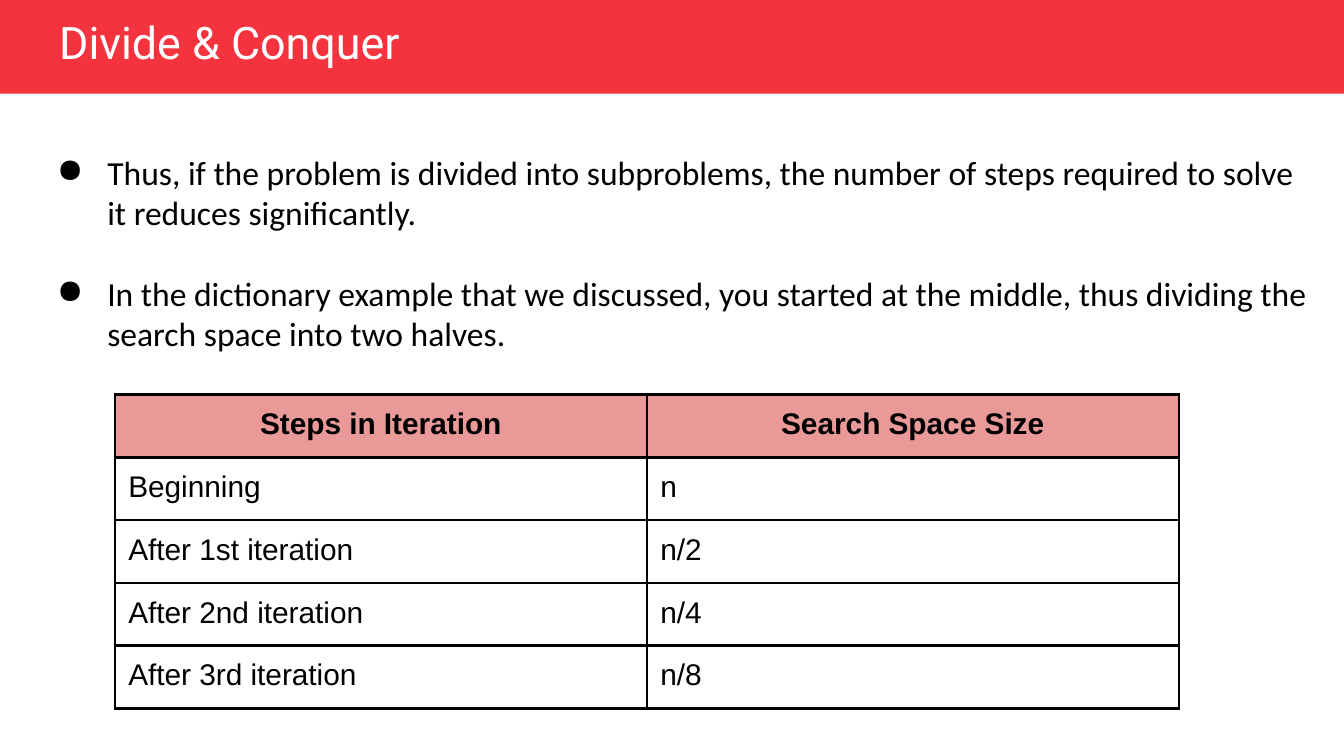
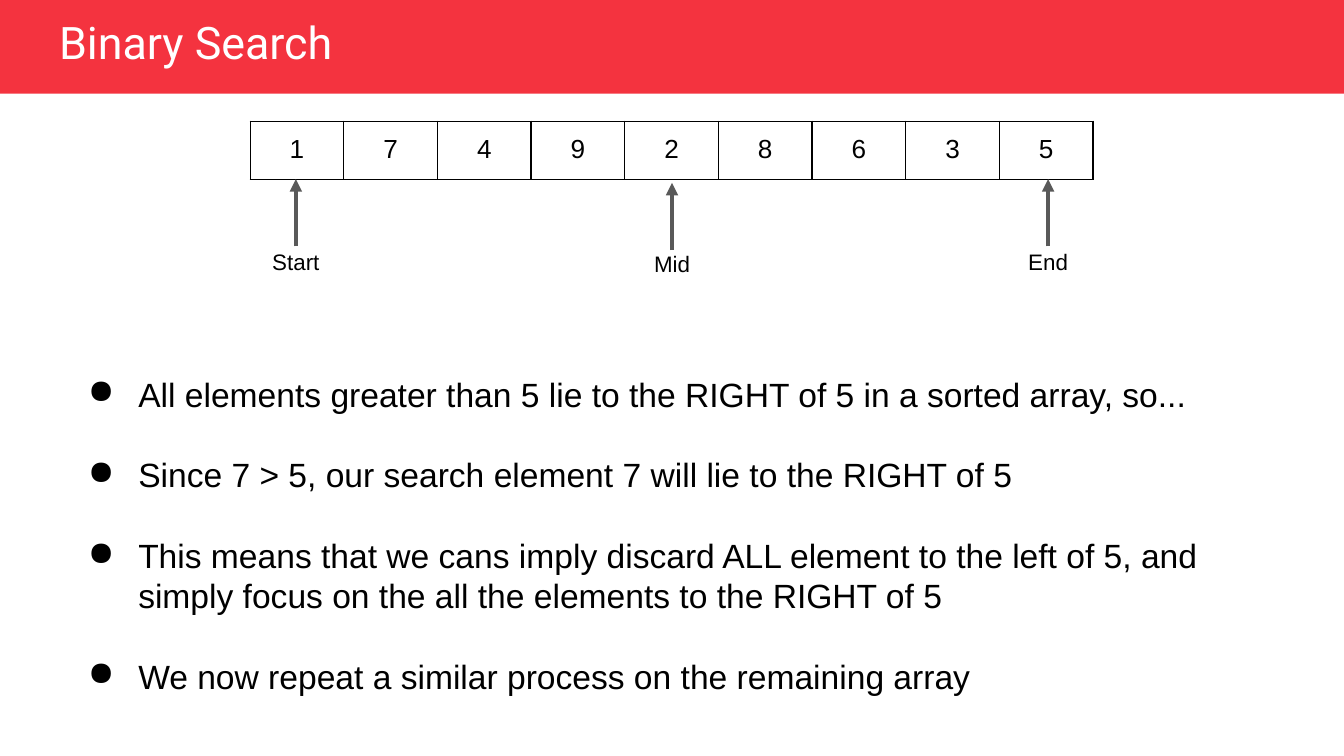
"""Two lecture slides on divide and conquer and binary search."""
import dataclasses

import lxml.etree
import pptx
import pptx.dml.color
import pptx.enum.shapes
import pptx.enum.text
import pptx.oxml
import pptx.oxml.ns
import pptx.util

Pt = pptx.util.Pt
qn = pptx.oxml.ns.qn
ALIGN = pptx.enum.text.PP_ALIGN


@dataclasses.dataclass(frozen=True)
class Theme:
    band: str = "F4333F"
    header: str = "EA9999"
    arrow: str = "595959"
    ink: str = "000000"
    paper: str = "FFFFFF"
    title_font: str = "Roboto"
    font: str = "Arial"
    title_size: float = 24
    body_size: float = 18
    table_size: float = 16
    array_size: float = 14
    label_size: float = 12
    body_leading: float = 21.6
    inset: float = 7.2


THEME = Theme()


def rgb(value):
    return pptx.dml.color.RGBColor.from_string(value)


def style(p, size, color=THEME.ink, font=THEME.font, bold=False, align=ALIGN.LEFT):
    p.alignment = align
    for r in p.runs:
        r.font.size = Pt(size)
        r.font.name = font
        r.font.bold = bold
        r.font.color.rgb = rgb(color)


def add_text_frame(s, left, top, width, height, inset=THEME.inset):
    tf = s.shapes.add_textbox(Pt(left), Pt(top), Pt(width), Pt(height)).text_frame
    tf.word_wrap = True
    tf.margin_left = tf.margin_right = Pt(inset)
    tf.margin_top = tf.margin_bottom = Pt(inset)
    return tf


def add_titled_slide(prs, title):
    s = prs.slides.add_slide(prs.slide_layouts[6])
    sp = s.shapes.add_shape(
        pptx.enum.shapes.MSO_SHAPE.RECTANGLE, 0, 0, prs.slide_width, Pt(50.2))
    sp.shadow.inherit = False
    sp.fill.solid()
    sp.fill.fore_color.rgb = rgb(THEME.band)
    sp.line.fill.background()
    tf = add_text_frame(s, 31.7, 8, 546, 31, inset=0)
    tf.text = title
    style(tf.paragraphs[0], THEME.title_size, THEME.paper, THEME.title_font)
    return s


def add_bullets(s, left, top, width, height, items, font):
    tf = add_text_frame(s, left, top, width, height)
    for i, item in enumerate(items):
        p = tf.paragraphs[0] if i == 0 else tf.add_paragraph()
        p.text = item
        pPr = p._p.get_or_add_pPr()
        pPr.set("marL", str(Pt(36)))
        pPr.set("indent", str(-Pt(27)))
        color = lxml.etree.SubElement(pPr, qn("a:buClr"))
        lxml.etree.SubElement(color, qn("a:srgbClr"), val=THEME.ink)
        lxml.etree.SubElement(pPr, qn("a:buChar"), char="●")
        p.line_spacing = Pt(THEME.body_leading)
        if i:
            p.space_before = Pt(THEME.body_leading)
        style(p, THEME.body_size, font=font)


def add_cell_borders(cell, weight):
    tcPr = cell._tc.get_or_add_tcPr()
    for side in ("a:lnL", "a:lnR", "a:lnT", "a:lnB"):
        ln = lxml.etree.SubElement(tcPr, qn(side), w=str(Pt(weight)))
        fill = lxml.etree.SubElement(ln, qn("a:solidFill"))
        lxml.etree.SubElement(fill, qn("a:srgbClr"), val=THEME.ink)


def add_grid(s, left, top, col_width, row_height, rows, size, weight,
             header=False, align=ALIGN.LEFT):
    n_rows, n_cols = len(rows), len(rows[0])
    table = s.shapes.add_table(
        n_rows, n_cols, Pt(left), Pt(top),
        Pt(col_width * n_cols), Pt(row_height * n_rows)).table
    table.first_row = table.horz_banding = False
    for col in table.columns:
        col.width = Pt(col_width)
    for i, values in enumerate(rows):
        table.rows[i].height = Pt(row_height)
        is_header = header and i == 0
        for j, value in enumerate(values):
            cell = table.cell(i, j)
            cell.text = value
            cell.margin_left = cell.margin_right = Pt(THEME.inset)
            cell.margin_top = cell.margin_bottom = Pt(THEME.inset)
            add_cell_borders(cell, weight)
            if is_header:
                cell.fill.solid()
                cell.fill.fore_color.rgb = rgb(THEME.header)
            else:
                cell.fill.background()
            style(cell.text_frame.paragraphs[0], size, bold=is_header,
                  align=ALIGN.CENTER if is_header else align)


def add_pointer(s, x, tip, label_top, label):
    cxn = s.shapes.add_connector(
        pptx.enum.shapes.MSO_CONNECTOR.STRAIGHT, Pt(x), Pt(tip + 36), Pt(x), Pt(tip))
    cxn.line.color.rgb = rgb(THEME.arrow)
    cxn.line.width = Pt(2.25)
    lxml.etree.SubElement(cxn.line._get_or_add_ln(), qn("a:tailEnd"), type="triangle")
    lxml.etree.SubElement(cxn._element.spPr, qn("a:effectLst"))
    tf = add_text_frame(s, x - 27, label_top, 54, 36)
    tf.text = label
    style(tf.paragraphs[0], THEME.label_size, align=ALIGN.CENTER)


def add_divide_slide(prs):
    s = add_titled_slide(prs, "Divide & Conquer")
    add_bullets(s, 14.4, 74.2, 699, 129, [
        "Thus, if the problem is divided into subproblems, the number of steps "
        "required to solve it reduces significantly.",
        "In the dictionary example that we discussed, you started at the middle, "
        "thus dividing the search space into two halves.",
    ], "Calibri")
    rows = [("Steps in Iteration", "Search Space Size"),
            ("Beginning", "n"),
            ("After 1st iteration", "n/2"),
            ("After 2nd iteration", "n/4"),
            ("After 3rd iteration", "n/8")]
    add_grid(s, 61.5, 211.4, 285, 30.2, rows, THEME.table_size, 1.5, header=True)


def add_search_slide(prs):
    s = add_titled_slide(prs, "Binary Search")
    add_bullets(s, 31, 193, 670, 204.5, [
        "All elements greater than 5 lie to the RIGHT of 5 in a sorted array, so...",
        "Since 7 > 5, our search element 7 will lie to the RIGHT of 5",
        "This means that we cans imply discard ALL element to the left of 5, "
        "and simply focus on the all the elements to the RIGHT of 5",
        "We now repeat a similar process on the remaining array",
    ], THEME.font)
    add_grid(s, 134, 65, 50.2, 30.2, ["174928635"], THEME.array_size, 0.75,
             align=ALIGN.CENTER)
    for x, tip, label_top, label in [(158.5, 96, 126, "Start"),
                                     (360, 98, 127, "Mid"),
                                     (561.5, 96, 126, "End")]:
        add_pointer(s, x, tip, label_top, label)


def main():
    prs = pptx.Presentation()
    prs.slide_width, prs.slide_height = Pt(720), Pt(405)
    add_divide_slide(prs)
    add_search_slide(prs)
    prs.save("out.pptx")


if __name__ == "__main__":
    main()
